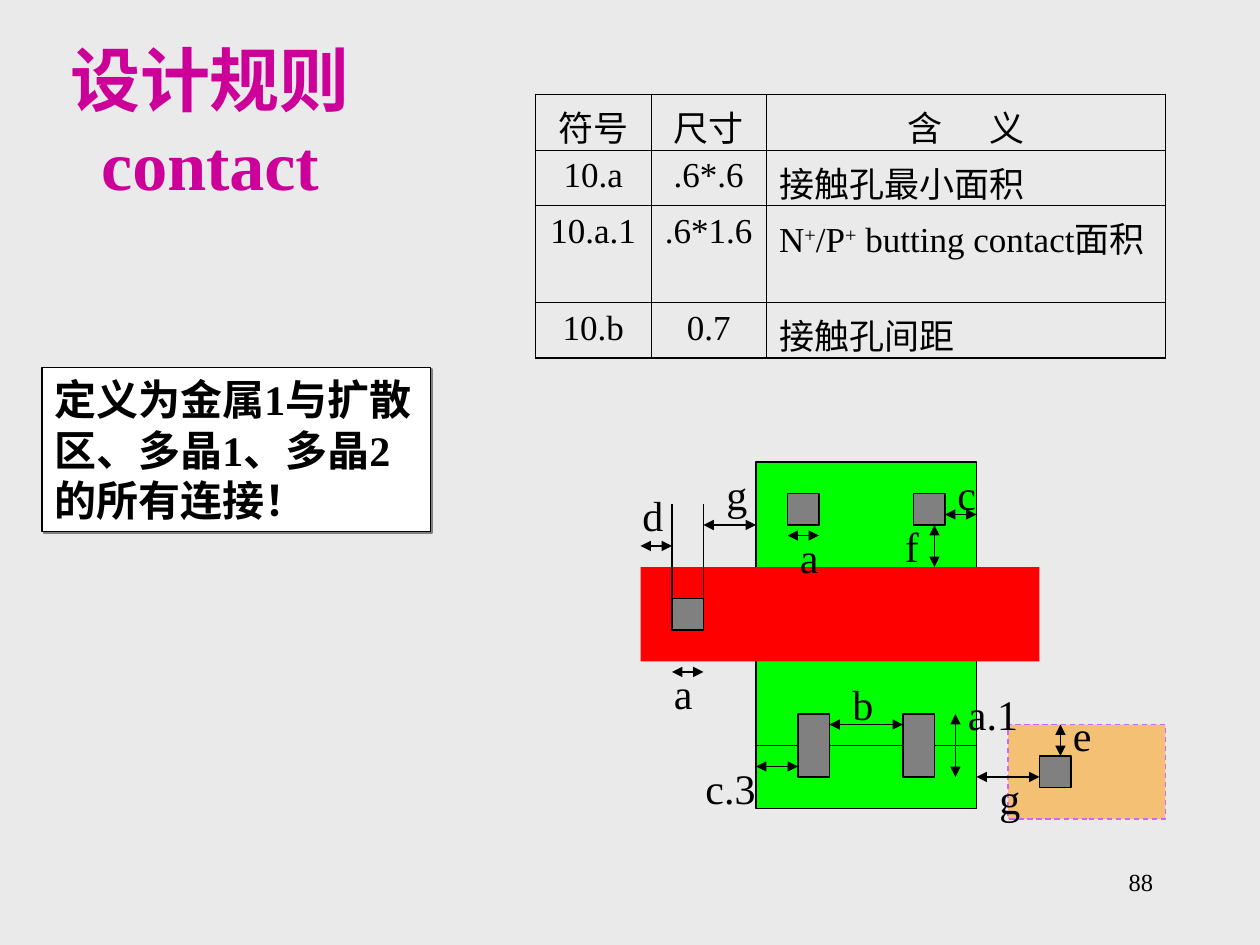
"""Builds a slide on the design rules for contacts, with a rule table and a layout sketch."""
from pptx import Presentation
from pptx.dml.color import RGBColor
from pptx.enum.dml import MSO_LINE
from pptx.enum.shapes import MSO_CONNECTOR, MSO_SHAPE
from pptx.enum.text import MSO_ANCHOR, MSO_AUTO_SIZE, PP_ALIGN
from pptx.oxml import parse_xml
from pptx.oxml.ns import nsdecls
from pptx.util import Inches, Pt

HUE = {"back": "EAEAEA", "title": "CC0099", "ink": "000000", "note": "FFFFFF",
       "green": "00FF00", "red": "FF0000", "gray": "808080",
       "well": "FF9900", "edge": "CC66FF"}
FONT = "Times New Roman"
TITLE = "设计规则\vcontact"
NOTE = "定义为金属1与扩散区、多晶1、多晶2的所有连接！"
PAGE = "88"
SUP = {"baseline": "30000"}
ROWS = [
    ["符号", "尺寸", [("含", {}), (" ", {"spc": "2200"}), ("义", {})]],
    ["10.a", ".6*.6", "接触孔最小面积"],
    ["10.a.1", ".6*1.6", [("N", {}), ("+", SUP), ("/P", {}), ("+", SUP),
                          (" butting contact面积", {})]],
    ["10.b", "0.7", "接触孔间距"],
]
WIDE = [11, 11, 38]
HIGH = [5.3, 5.3, 9.2, 5.3]
AREAS = [
    ("green", 72, 44, 21, 27), ("red", 61, 54, 38, 9),
    ("gray", 75, 47, 3, 3), ("gray", 87, 47, 3, 3), ("gray", 64, 57, 3, 3),
    ("green", 72, 71, 21, 6), ("gray", 76, 68, 3, 6), ("gray", 86, 68, 3, 6),
    ("well", 96, 69, 15, 9), ("gray", 99, 72, 3, 3),
]
GUIDES = [(64, 57, 64, 48), (67, 57, 67, 48)]
SPANS = [
    (61, 52, 64, 52), (67, 50, 72, 50), (64, 64, 67, 64), (79, 69, 86, 69),
    (72, 73, 76, 73), (91, 68, 91, 74), (101, 72, 101, 69),
    (90, 49, 93, 49), (75, 51, 78, 51), (89, 50, 89, 54),
]
GAP = (99, 74, 93, 74)
TAGS = [
    ("a", 63, 63), ("a", 75, 50), ("b", 80, 64), ("c", 90, 44), ("d", 60, 46),
    ("e", 101, 67), ("f", 85, 49), ("g", 94, 73), ("g", 68, 44),
    ("c.3", 66, 72), ("a.1", 91, 65),
]


def grid(*cells):
    return [Inches(cell / 12) for cell in cells]


def shade(name):
    return RGBColor.from_string(HUE[name])


def write(frame, text, size, hue="ink", align=PP_ALIGN.LEFT, bold=False):
    frame.word_wrap = True
    line = frame.paragraphs[0]
    line.alignment = align
    if isinstance(text, str):
        line.text = text
    else:
        for part, marks in text:
            run = line.add_run()
            run.text = part
            for key, value in marks.items():
                run.font._element.set(key, value)
    for run in line.runs:
        for key, value in {"size": Pt(size), "name": FONT, "bold": bold}.items():
            setattr(run.font, key, value)
        run.font.color.rgb = shade(hue)


def label(shapes, text, box, size, align=PP_ALIGN.LEFT):
    write(shapes.add_textbox(*grid(*box)).text_frame, text, size, align=align)


def block(shapes, hue, box):
    shape = shapes.add_shape(MSO_SHAPE.RECTANGLE, *grid(*box))
    shape.shadow.inherit = False
    shape.fill.solid()
    shape.fill.fore_color.rgb = shade(hue)
    if hue == "red":
        shape.line.fill.background()
        return shape
    shape.line.width = Pt(0.75)
    shape.line.color.rgb = shade("edge" if hue == "well" else "ink")
    if hue == "well":
        shape.line.dash_style = MSO_LINE.DASH
        tint = next(shape._element.spPr.iter("{*}srgbClr"))
        tint.append(parse_xml(f'<a:alpha {nsdecls("a")} val="50000"/>'))
    return shape


def stroke(shapes, ends, arrows=True):
    line = shapes.add_connector(MSO_CONNECTOR.STRAIGHT, *grid(*ends))
    line.line.width = Pt(0.75)
    line.line.color.rgb = shade("ink")
    if arrows:
        for end in ("headEnd", "tailEnd"):
            line.line._get_or_add_ln().append(
                parse_xml(f'<a:{end} {nsdecls("a")} type="triangle"/>'))
    line._element.spPr.append(parse_xml(f'<a:effectLst {nsdecls("a")}/>'))
    return line


def border(cell, row, col):
    outer = {"L": col == 0, "R": col == len(WIDE) - 1,
             "T": row == 0, "B": row == len(ROWS) - 1}
    for side, thick in outer.items():
        width = Pt(1.08 if thick else 0.45)
        cell._tc.get_or_add_tcPr().append(parse_xml(
            f'<a:ln{side} {nsdecls("a")} w="{width}"><a:solidFill>'
            f'<a:srgbClr val="{HUE["ink"]}"/></a:solidFill></a:ln{side}>'))


def rules(shapes):
    box = grid(51, 9, sum(WIDE), sum(HIGH))
    table = shapes.add_table(len(ROWS), len(WIDE), *box).table
    table.first_row = table.horz_banding = False
    for col, width in zip(table.columns, grid(*WIDE)):
        col.width = width
    for row, height in zip(table.rows, grid(*HIGH)):
        row.height = height
    for r, row in enumerate(ROWS):
        for c, text in enumerate(row):
            cell = table.cell(r, c)
            border(cell, r, c)
            cell.fill.background()
            left = r > 0 and c == 2
            write(cell.text_frame, text, 20,
                  align=PP_ALIGN.LEFT if left else PP_ALIGN.CENTER)


def sketch(shapes):
    areas = [block(shapes, hue, box) for hue, *box in AREAS]
    for ends in GUIDES:
        stroke(shapes, ends, False)
    for ends in SPANS:
        stroke(shapes, ends)
    stroke(shapes, GAP).end_connect(areas[5], 3)
    for text, x, y in TAGS:
        label(shapes, text, (x, y, 8 if len(text) > 1 else 5, 6), 24)


def remark(shapes):
    shape = block(shapes, "note", (4, 35, 37, 15.6))
    shape._element.spPr.find("{*}effectLst").append(parse_xml(
        f'<a:outerShdw {nsdecls("a")} dist="{Pt(1.4)}" dir="2700000" algn="ctr" '
        f'rotWithShape="0"><a:srgbClr val="{HUE["gray"]}"/></a:outerShdw>'))
    shape.text_frame.vertical_anchor = MSO_ANCHOR.TOP
    write(shape.text_frame, NOTE, 24, bold=True)


def main():
    deck = Presentation()
    deck.slide_width, deck.slide_height = grid(120, 90)
    slide = deck.slides.add_slide(deck.slide_layouts[5])
    slide.background.fill.solid()
    slide.background.fill.fore_color.rgb = shade("back")
    shapes = slide.shapes
    head = shapes.title
    head.left, head.top, head.width, head.height = grid(1, 6, 38, 11)
    head.text_frame.auto_size = MSO_AUTO_SIZE.NONE
    head.text_frame.vertical_anchor = MSO_ANCHOR.MIDDLE
    write(head.text_frame, TITLE, 40, "title", PP_ALIGN.CENTER, True)
    label(shapes, PAGE, (86, 82, 25, 6), 14, PP_ALIGN.RIGHT)
    rules(shapes)
    sketch(shapes.add_group_shape().shapes)
    remark(shapes)
    deck.save("out.pptx")


if __name__ == "__main__":
    main()
